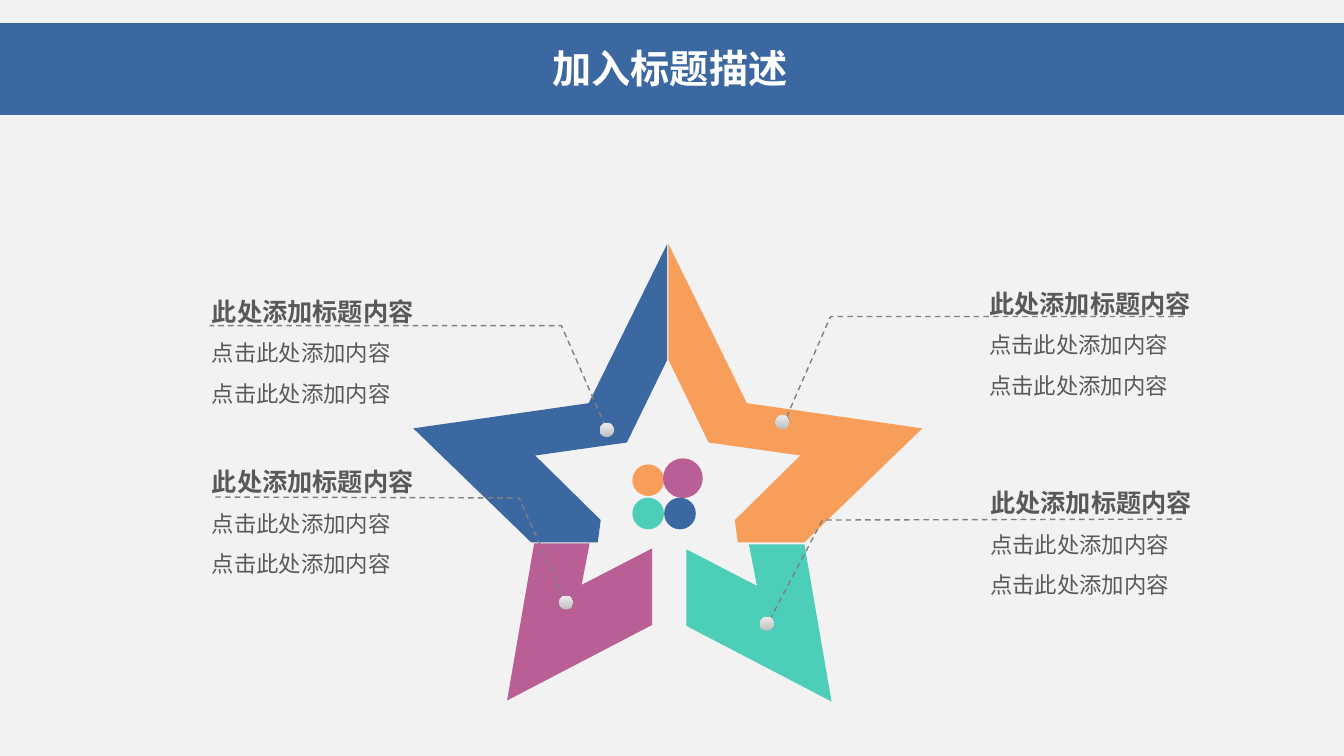
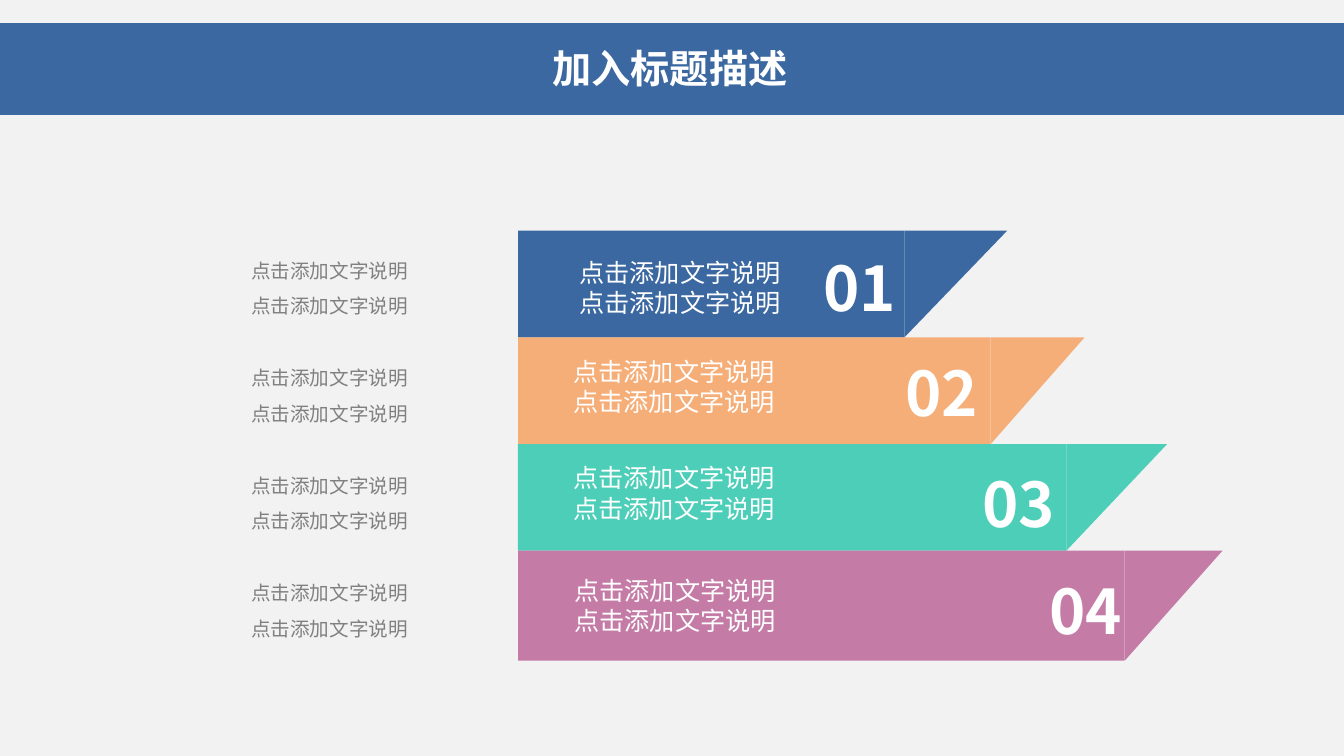
from copy import deepcopy
from lxml.etree import SubElement
from pptx import Presentation
from pptx.dml.color import RGBColor
from pptx.enum.dml import MSO_LINE
from pptx.enum.shapes import MSO_SHAPE as Preset
from pptx.enum.text import MSO_AUTO_SIZE as AutoSize, PP_ALIGN as Align
from pptx.oxml.ns import qn
from pptx.util import Pt

FONT = "Noto Sans CJK SC"
COLORS = {
    "page": "F2F2F2", "blue": "3B68A1", "orange": "F79E5A",
    "teal": "4DCEB8", "pink": "B95F95", "white": "FFFFFF",
    "heading": "595959", "grey": "808080",
}
PEARL = [(0, "BBBBBB"), (0.35, "CFCFCF"), (1, "EDEDED")]

TITLE = "加入标题描述"
CALLOUT = ["此处添加标题内容", "点击此处添加内容", "点击此处添加内容"]
CAPTION = ["点击添加文字说明"] * 2

ARM = [(56.5, 288), (0.4, 174.2), (0.4, 257), (29.2, 316.1), (94.7, 325.4),
       (47.9, 371.5), (50, 387.4), (97.6, 387.4), (181.8, 306)]
LEG = [(12.2, 391.7), (12.2, 446.4), (115.9, 500.4), (96.5, 388.1),
       (56.9, 388.1), (62.6, 417.8)]
STAR = [
    ("teal", LEG, 478.1, 1, 0.7),
    ("pink", LEG, 478.1, -1, 0),
    ("orange", ARM, 477, 1, 0),
    ("blue", ARM, 477, -1, 0),
]
CENTRE_DISCS = [
    ("orange", 463, 343, 22.6), ("pink", 487.8, 341.6, 28.4),
    ("teal", 463, 366.8, 22.6), ("blue", 485.7, 366.8, 22.6),
]
CALLOUTS = [
    {"text": (141.8, 195.8), "dot": (433.4, 307.2),
     "leader": [(433.4, 306.7), (401, 232.6), (149.8, 232.6)]},
    {"text": (141.8, 317.5), "dot": (404.4, 430.4),
     "leader": [(404, 429.8), (370.8, 355.7), (151.9, 355)]},
    {"text": (697, 190), "dot": (558.9, 301.5),
     "leader": [(560.9, 300.2), (593.3, 226.1), (846.7, 226.1)]},
    {"text": (697.7, 332.6), "dot": (547.7, 445.6),
     "leader": [(548.6, 445), (587.5, 371.5), (846.7, 370.8)]},
]

STEP_LEFT, STEP_TOP, STEP_PITCH = 370, 164.8, 76.2
NOTE_TOP, NOTE_PITCH = 172.8, 76.8
STEPS = [
    {"color": "blue", "alpha": 100, "width": 276, "height": 76.2, "slant": 73.4,
     "number": (581, 175), "caption": (406.8, 180)},
    {"color": "orange", "alpha": 80, "width": 337.7, "height": 76.2, "slant": 67,
     "number": (639.4, 249.8), "caption": (402.5, 250.6)},
    {"color": "teal", "alpha": 100, "width": 391.7, "height": 76.2, "slant": 72,
     "number": (694.8, 329), "caption": (402.5, 326.9)},
    {"color": "pink", "alpha": 80, "width": 433.4, "height": 78.5, "slant": 69.8,
     "number": (742.3, 405.4), "caption": (403.2, 407.5)},
]


def rgb(name):
    return RGBColor.from_string(COLORS[name])


def paint(shape, color, alpha=100):
    shape.shadow.inherit = False
    shape.line.fill.background()
    shape.fill.solid()
    shape.fill.fore_color.rgb = rgb(color)
    if alpha < 100:
        tint = shape._element.spPr.find(".//" + qn("a:srgbClr"))
        SubElement(tint, qn("a:alpha"), val=str(alpha * 1000))


def add_preset(shapes, preset, left, top, width, height):
    return shapes.add_shape(preset, Pt(left), Pt(top), Pt(width), Pt(height))


def add_disc(shapes, x, y, size):
    return add_preset(shapes, Preset.OVAL, x - size / 2, y - size / 2, size, size)


def add_outline(shapes, points, close=True):
    corners = [(Pt(x), Pt(y)) for x, y in points]
    builder = shapes.build_freeform(*corners[0])
    builder.add_line_segments(corners[1:], close=close)
    return builder.convert_to_shape()


def add_text(shapes, lines, place, extent, size=18, color="white", bold=False,
             align=Align.LEFT, spacing=None, inset=(7.2, 3.6), heading_size=None):
    box = shapes.add_textbox(*map(Pt, place + extent))
    frame = box.text_frame
    frame.word_wrap = True
    frame.auto_size = AutoSize.SHAPE_TO_FIT_TEXT
    frame.margin_left = frame.margin_right = Pt(inset[0])
    frame.margin_top = frame.margin_bottom = Pt(inset[1])
    for index, line in enumerate(lines):
        is_heading = bool(heading_size) and index == 0
        paragraph = frame.add_paragraph() if index else frame.paragraphs[0]
        paragraph.alignment = align
        if spacing:
            paragraph.line_spacing = spacing
        run = paragraph.add_run()
        run.text = line
        run.font.size = Pt(heading_size if is_heading else size)
        run.font.bold = bold or is_heading
        run.font.color.rgb = rgb(color)
        run.font.name = FONT
        SubElement(run._r.get_or_add_rPr(), qn("a:ea"), typeface=FONT)


def add_titled_slide(prs):
    slide = prs.slides.add_slide(prs.slide_layouts[6])
    header = slide.shapes.add_group_shape().shapes
    paint(add_preset(header, Preset.RECTANGLE, 0, 16.5, 960, 65.5), "blue")
    add_text(header, [TITLE], (0, 28.8), (957, 46), size=28, bold=True,
             align=Align.CENTER, inset=(5, 2.9))
    return slide.shapes


def add_leader(shapes, points):
    leader = add_outline(shapes, points, close=False)
    leader.shadow.inherit = False
    leader.fill.background()
    leader.line.color.rgb = rgb("grey")
    leader.line.width = Pt(1)
    leader.line.dash_style = MSO_LINE.DASH
    SubElement(leader._element.spPr.find(qn("a:ln")), qn("a:headEnd"), type="oval")


def add_pearl(shapes, x, y):
    pearl = add_disc(shapes, x, y, 10)
    pearl.shadow.inherit = False
    pearl.line.fill.background()
    pearl.fill.gradient()
    pearl.fill.gradient_angle = 90
    stops = pearl._element.spPr.find(".//" + qn("a:gsLst"))
    stops.insert(1, deepcopy(stops[0]))
    for stop, (position, shade) in zip(pearl.fill.gradient_stops, PEARL):
        stop.position = position
        stop.color.rgb = RGBColor.from_string(shade)


def build_star(prs):
    shapes = add_titled_slide(prs)
    for color, half, axis, side, drop in STAR:
        points = [(axis + side * x, y + drop) for x, y in half]
        paint(add_outline(shapes, points), color)
    for color, x, y, size in CENTRE_DISCS:
        paint(add_disc(shapes, x, y, size), color)
    for callout in CALLOUTS:
        add_text(shapes, CALLOUT, callout["text"], (170, 126), size=16,
                 color="heading", align=Align.JUSTIFY, spacing=1.5,
                 inset=(9.6, 4.8), heading_size=18)
        add_leader(shapes, callout["leader"])
    for callout in CALLOUTS:
        add_pearl(shapes, *callout["dot"])


def build_steps(prs):
    shapes = add_titled_slide(prs)
    for index, step in enumerate(STEPS):
        top = STEP_TOP + index * STEP_PITCH
        width, height, slant = step["width"], step["height"], step["slant"]
        bar = shapes.add_group_shape().shapes
        body = add_preset(bar, Preset.RECTANGLE, STEP_LEFT, top, width, height)
        tip = add_preset(bar, Preset.RIGHT_TRIANGLE,
                         STEP_LEFT + width + (slant - height) / 2,
                         top + (height - slant) / 2, height, slant)
        tip.rotation = 90
        for part in (body, tip):
            paint(part, step["color"], step["alpha"])
    for index, step in enumerate(STEPS):
        add_text(shapes, [f"{index + 1:02}"], step["number"], (75, 60.5),
                 size=44, bold=True)
        add_text(shapes, CAPTION, step["caption"], (163, 51))
        add_text(shapes, CAPTION, (136, NOTE_TOP + index * NOTE_PITCH), (199, 58.3),
                 size=14, color="grey", align=Align.CENTER, spacing=1.5)


def main():
    prs = Presentation()
    prs.slide_width, prs.slide_height = Pt(960), Pt(540)
    backdrop = prs.slide_master.background.fill
    backdrop.solid()
    backdrop.fore_color.rgb = rgb("page")
    build_star(prs)
    build_steps(prs)
    prs.save("out.pptx")


if __name__ == "__main__":
    main()
